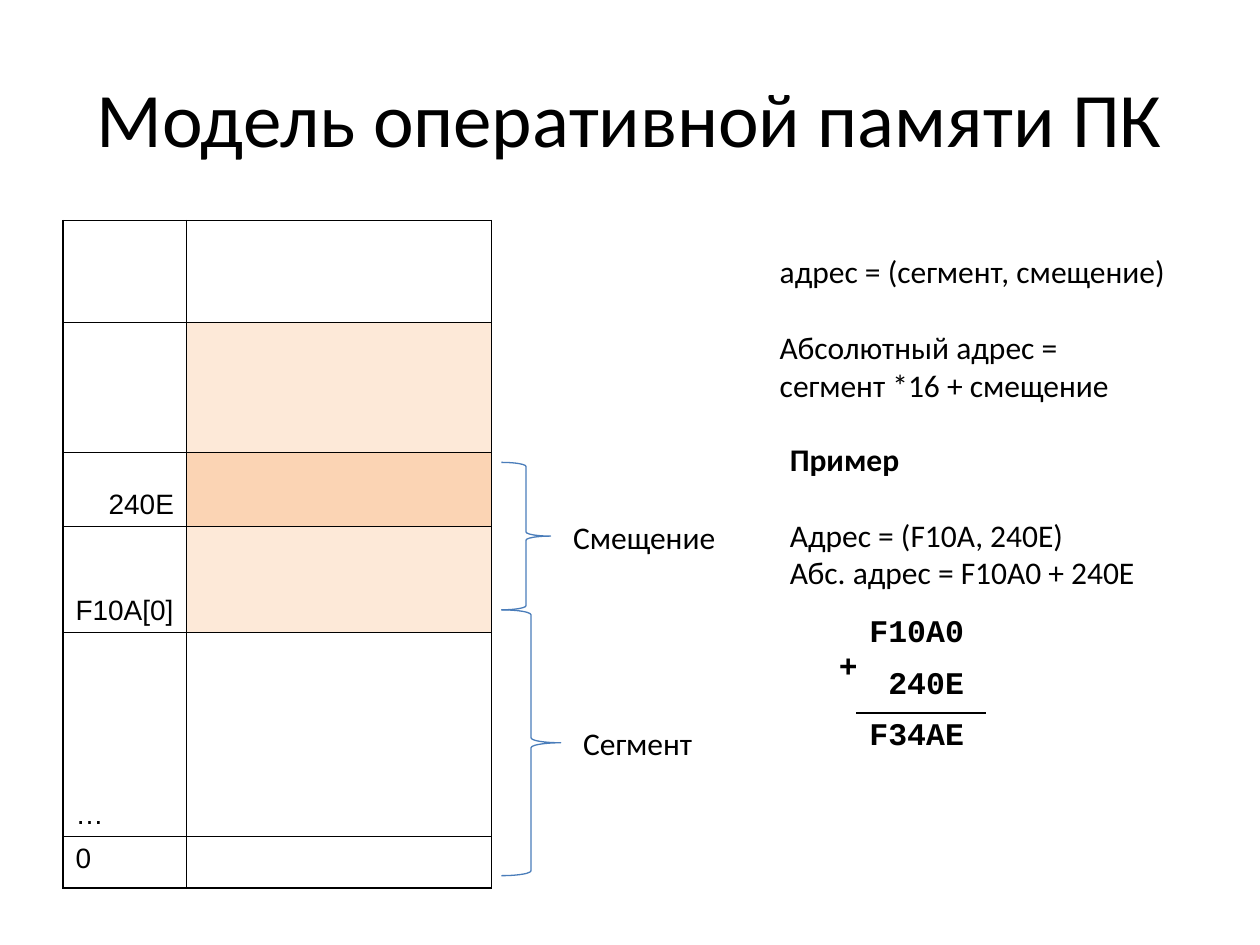
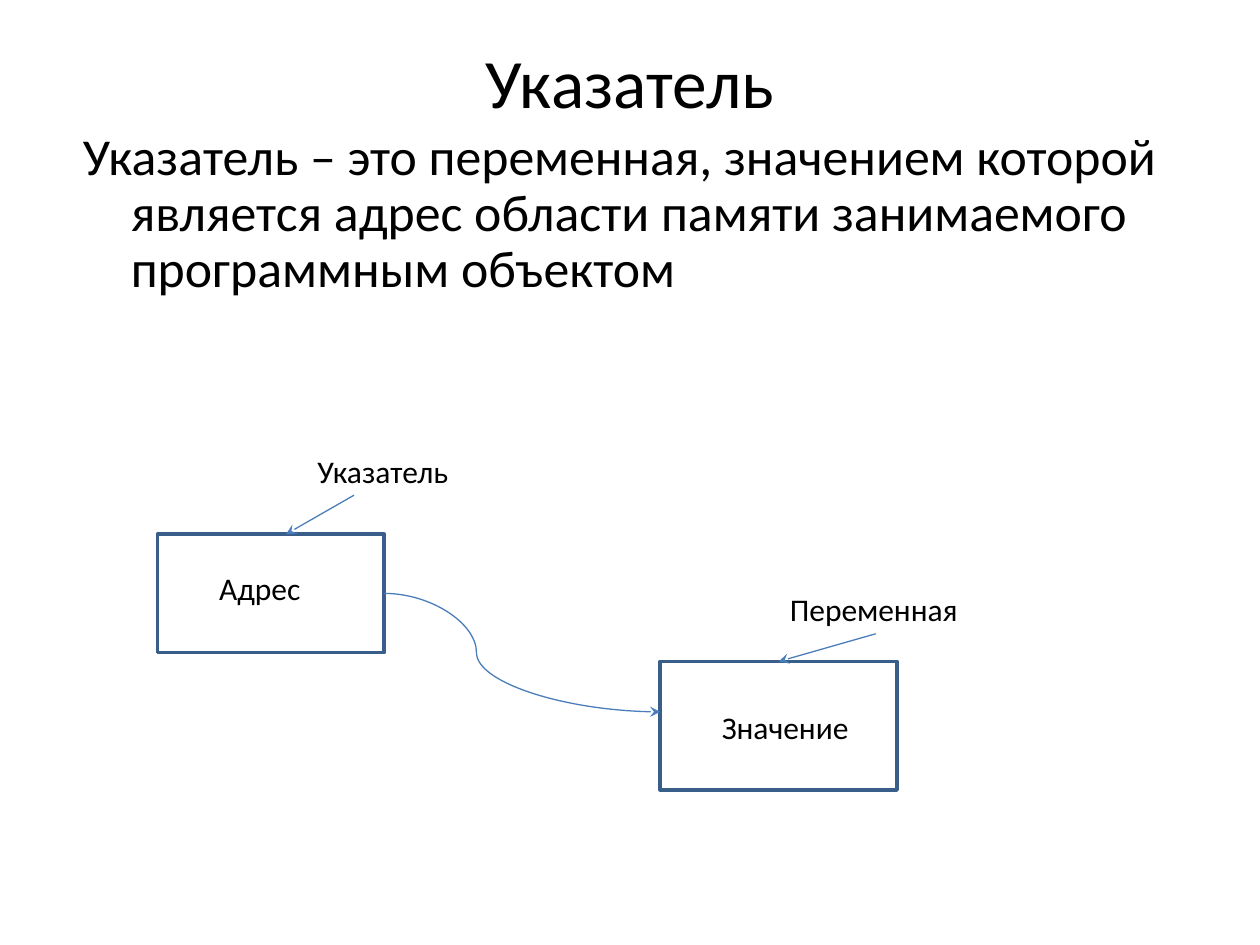
"""Build two slides: the memory model of a PC and the notion of a pointer."""
from lxml import etree
from pptx import Presentation
from pptx.dml.color import RGBColor
from pptx.enum.shapes import MSO_CONNECTOR as Connector, MSO_SHAPE as Shape
from pptx.enum.text import MSO_ANCHOR as Anchor, MSO_AUTO_SIZE as AutoSize, PP_ALIGN as Align
from pptx.oxml.ns import qn
from pptx.util import Inches, Pt

COLORS = {"text": "000000", "paper": "FFFFFF", "segment": "FDE9D8", "cell": "FBD4B4",
          "line": "4A7DBA", "frame": "395E89"}
RGB = {name: RGBColor.from_string(value) for name, value in COLORS.items()}
BODY_FONT, TABLE_FONT, CODE_FONT = "Calibri", "Arial", "Courier New"

deck = Presentation()
deck.slide_width, deck.slide_height = Inches(10), Inches(7.5)
COL, ROW = deck.slide_width / 100, deck.slide_height / 75


def write(frame, lines, size=18, font=BODY_FONT, bold=False, align=Align.LEFT):
    """Fill a text frame with lines in one style."""
    frame.word_wrap = True
    frame.text = "\n".join(lines)
    for para in frame.paragraphs:
        para.alignment = align
        for span in para.runs:
            span.font.size, span.font.name, span.font.bold = Pt(size), font, bold
            span.font.color.rgb = RGB["text"]


def draw_borders(cell, sides):
    """Draw thin dark lines on the given sides of a table cell."""
    properties = cell._tc.get_or_add_tcPr()
    for index, side in enumerate(sides):
        border = etree.Element(qn(f"a:ln{side}"), w=str(Pt(1)))
        fill = etree.SubElement(border, qn("a:solidFill"))
        etree.SubElement(fill, qn("a:srgbClr"), val=COLORS["text"])
        properties.insert(index, border)


pages = []
for heading, size, height in [("Модель оперативной памяти ПК", 44, 12.5), ("Указатель", 39.6, 6.8)]:
    page = deck.slides.add_slide(deck.slide_layouts[5])
    title = page.shapes.title
    title.left, title.top = int(5 * COL), int(3 * ROW)
    title.width, title.height = int(90 * COL), int(height * ROW)
    write(title.text_frame, [heading], size, align=Align.CENTER)
    title.text_frame.auto_size = AutoSize.NONE
    title.text_frame.vertical_anchor = Anchor.MIDDLE
    pages.append(page)
memory_page, pointer_page = pages

labels = [
    (memory_page, 45.3, 57, 11.7, 4, ["Сегмент"]),
    (memory_page, 44.5, 40.6, 17.2, 4, ["Смещение"]),
    (memory_page, 60.9, 19.5, 33.6, 13.1,
     ["адрес = (сегмент, смещение)", "Абсолютный адрес =", "сегмент *16 + смещение"]),
    (memory_page, 61.7, 34.4, 30.5, 13.1,
     ["Пример", "Адрес = (F10A, 240E)", "Абс. адрес = F10A0 + 240E"]),
    (memory_page, 65.6, 50.8, 3.1, 4, ["+"]),
    (pointer_page, 24.2, 35.4, 12.5, 4, ["Указатель"]),
    (pointer_page, 16.4, 44.7, 8.5, 4, ["Адрес"]),
    (pointer_page, 61.7, 46.3, 15.5, 4, ["Переменная"]),
    (pointer_page, 56.3, 55.7, 12.2, 4, ["Значение"]),
]
for page, left, top, width, height, lines in labels:
    box = page.shapes.add_textbox(int(left * COL), int(top * ROW), int(width * COL), int(height * ROW))
    is_sign = lines == ["+"]
    write(box.text_frame, lines, font=CODE_FONT if is_sign else BODY_FONT, bold=is_sign)
    if len(lines) > 1:
        box.text_frame.paragraphs[1].space_before = Pt(21.8)
    if lines[0] == "Пример":
        box.text_frame.paragraphs[0].runs[0].font.bold = True

memory_rows = [
    (8.1, "", "paper"),
    (10.3, "", "segment"),
    (5.9, "240E", "cell"),
    (8.4, "F10A[0]", "segment"),
    (16.2, "…", "paper"),
    (4.1, "0", "paper"),
]
sum_rows = ["F10A0", "240E", "F34AE"]
memory = memory_page.shapes.add_table(len(memory_rows), 2, int(5 * COL), int(17.5 * ROW),
                                      int(34 * COL), int(53 * ROW)).table
addition = memory_page.shapes.add_table(len(sum_rows), 1, int(68 * COL), int(48.4 * ROW),
                                        int(10.2 * COL), int(12.3 * ROW)).table
for table in (memory, addition):
    table.first_row = table.horz_banding = False

memory.columns[0].width, memory.columns[1].width = int(9.8 * COL), int(24.2 * COL)
for index, (height, address, color) in enumerate(memory_rows):
    memory.rows[index].height = int(height * ROW)
    for column, fill in enumerate(["paper", color]):
        cell = memory.cell(index, column)
        cell.fill.solid()
        cell.fill.fore_color.rgb = RGB[fill]
        draw_borders(cell, "LRTB")
    cell = memory.cell(index, 0)
    write(cell.text_frame, [address], 16, TABLE_FONT, align=Align.RIGHT if address == "240E" else Align.LEFT)
    cell.vertical_anchor = Anchor.TOP if address == "0" else Anchor.BOTTOM

for index, (number, sides) in enumerate(zip(sum_rows, ["", "B", "T"])):
    addition.rows[index].height = int(4.1 * ROW)
    cell = addition.cell(index, 0)
    cell.fill.background()
    cell.margin_right = int(1.7 * COL)
    write(cell.text_frame, [number], font=CODE_FONT, bold=True, align=Align.RIGHT)
    draw_borders(cell, sides)

for top, width, height in [(36.7, 3.9, 11.7), (48.4, 4.7, 21.1)]:
    brace = memory_page.shapes.add_shape(Shape.RIGHT_BRACE, int(39.8 * COL), int(top * ROW),
                                         int(width * COL), int(height * ROW))
    brace.shadow.inherit = False
    brace.fill.background()
    brace.line.color.rgb, brace.line.width = RGB["line"], Pt(0.75)

definition = pointer_page.shapes.add_textbox(int(5.6 * COL), int(9.9 * ROW), int(90 * COL), int(14.5 * ROW))
write(definition.text_frame, ["Указатель – это переменная, значением которой является адрес "
                              "области памяти занимаемого программным объектом"], 29.6)
para = definition.text_frame.paragraphs[0]
para.line_spacing = 0.9
indent = int(3.8 * COL)
para._p.get_or_add_pPr().set("marL", str(indent))
para._p.get_or_add_pPr().set("indent", str(-indent))

frames = []
for left, top, width, height in [(12.5, 42.4, 18, 9.4), (52.4, 52.5, 18.8, 10.2)]:
    frame = pointer_page.shapes.add_shape(Shape.RECTANGLE, int(left * COL), int(top * ROW),
                                          int(width * COL), int(height * ROW))
    frame.shadow.inherit = False
    frame.fill.background()
    frame.line.color.rgb, frame.line.width = RGB["frame"], Pt(2)
    frames.append(frame)
address_frame, value_frame = frames

arrows = []
for kind, x1, y1, x2, y2 in [
    (Connector.CURVE, 30.5, 47.1, 52.4, 56.5),
    (Connector.STRAIGHT, 28.1, 39.3, 22.7, 42.4),
    (Connector.STRAIGHT, 69.5, 50.3, 61.7, 52.5),
]:
    arrow = pointer_page.shapes.add_connector(kind, int(x1 * COL), int(y1 * ROW), int(x2 * COL), int(y2 * ROW))
    arrow.line.color.rgb, arrow.line.width = RGB["line"], Pt(0.75)
    etree.SubElement(arrow.line._get_or_add_ln(), qn("a:tailEnd"), type="stealth")
    etree.SubElement(arrow._element.spPr, qn("a:effectLst"))
    arrows.append(arrow)
curve, pointer_arrow, variable_arrow = arrows
variable_arrow.end_connect(value_frame, 0)
bend = curve._element.spPr.find(qn("a:prstGeom")).find(qn("a:avLst"))
etree.SubElement(bend, qn("a:gd"), name="adj1", fmla="val 33400")

deck.save("out.pptx")
